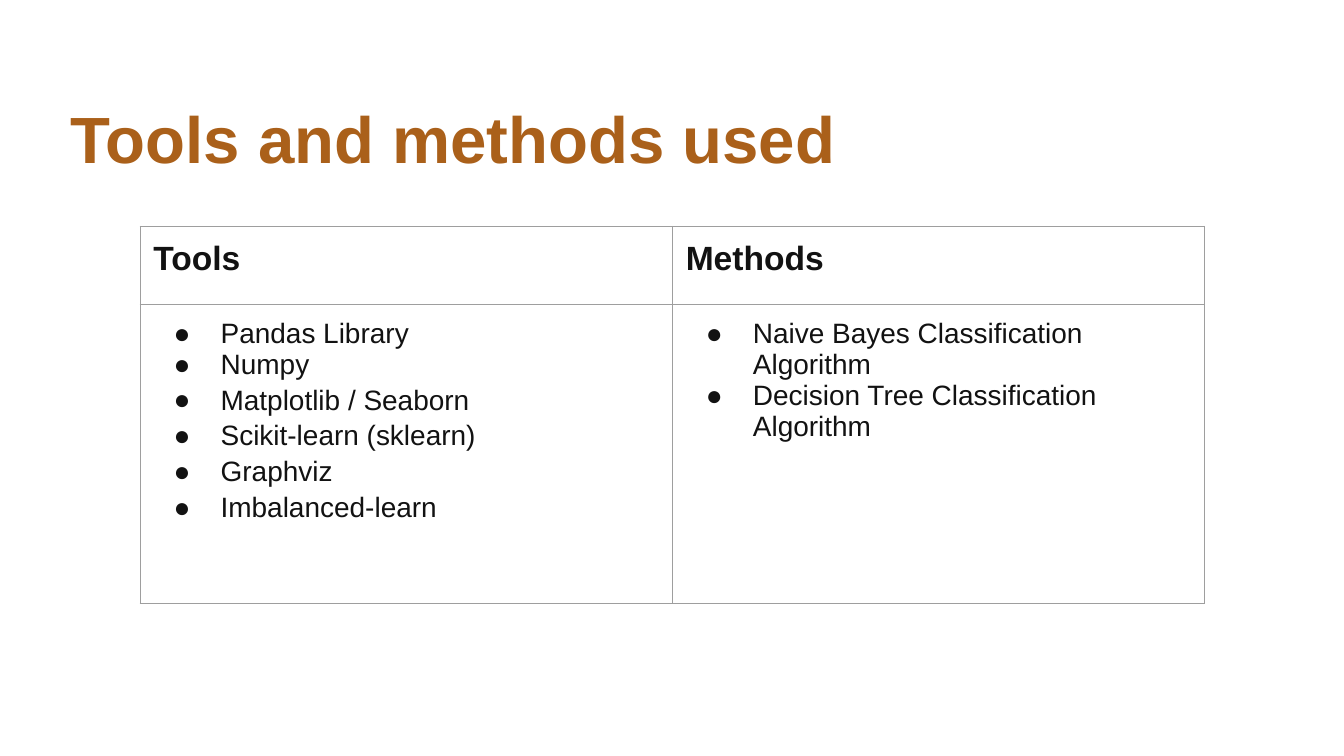
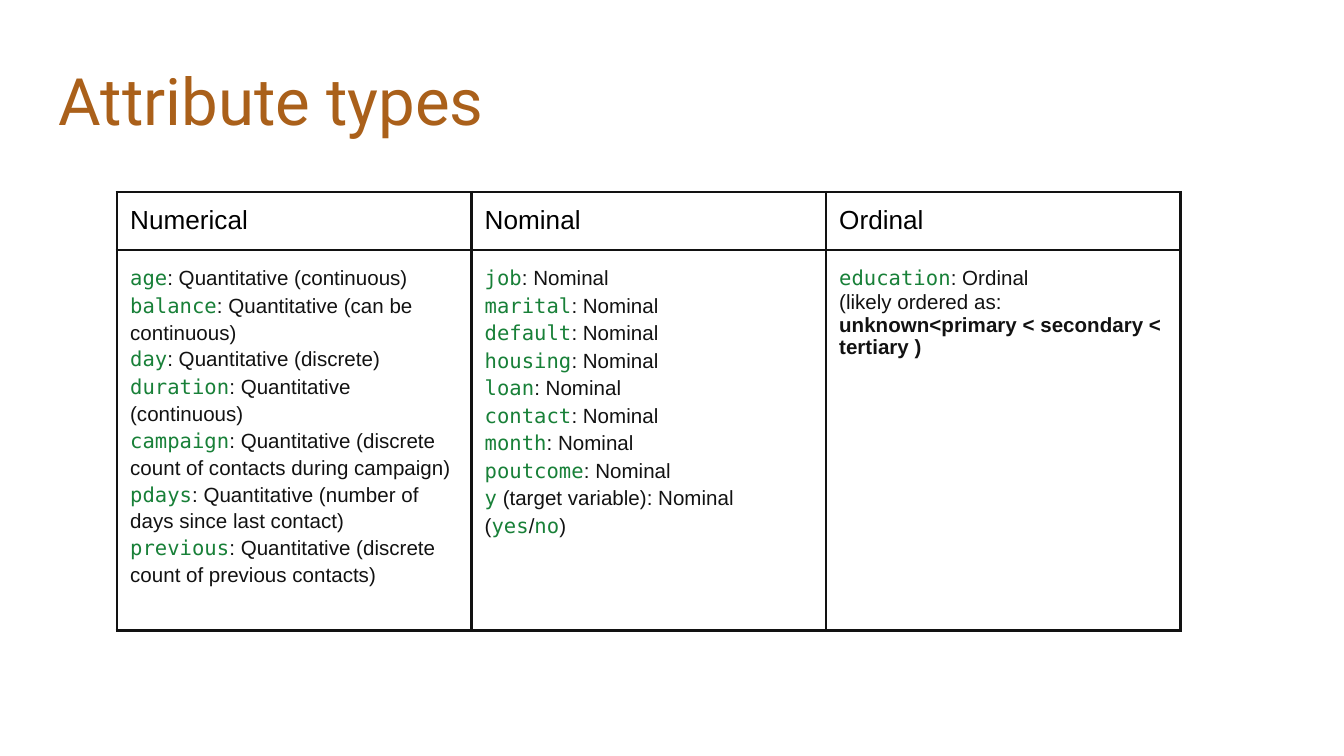
from lxml import etree
from pptx import Presentation
from pptx.dml import color
from pptx.enum import text
from pptx.oxml import ns
from pptx.util import Cm, Pt

BROWN, INK, GREY, GREEN, BLACK, WHITE = "AA601A", "121212", "9E9E9E", "188038", "000000", "FFFFFF"
BODY, CODE = "Arial", "DejaVu Sans Mono"
INSET = Cm(0.25)


def style(run, size, hue, face=BODY, bold=False):
    run.font.size = Pt(size)
    run.font.name = face
    run.font.bold = bold
    run.font.color.rgb = color.RGBColor.from_string(hue)


def draw_table(slide, left, top, column_width, heights, headings, heading_style, border, line_width, fill):
    count = len(headings)
    frame = slide.shapes.add_table(len(heights), count, Cm(left), Cm(top),
                                   Cm(column_width * count), Cm(sum(heights)))
    grid = frame.table
    grid.first_row = grid.horz_banding = False
    for column in grid.columns:
        column.width = Cm(column_width)
    for row, height in zip(grid.rows, heights):
        row.height = Cm(height)
    for cell in grid.iter_cells():
        cell.margin_left = cell.margin_right = cell.margin_top = cell.margin_bottom = INSET
        properties = cell._tc.get_or_add_tcPr()
        for side in ("a:lnL", "a:lnR", "a:lnT", "a:lnB"):
            edge = etree.SubElement(properties, ns.qn(side), w=str(Pt(line_width)))
            solid = etree.SubElement(edge, ns.qn("a:solidFill"))
            etree.SubElement(solid, ns.qn("a:srgbClr"), val=border)
        if fill:
            cell.fill.solid()
            cell.fill.fore_color.rgb = color.RGBColor.from_string(fill)
        else:
            cell.fill.background()
    for cell, heading in zip(grid.rows[0].cells, headings):
        cell.text_frame.text = heading
        style(cell.text_frame.paragraphs[0].runs[0], **heading_style)
    return grid


deck = Presentation()
deck.slide_width, deck.slide_height = Cm(25.4), Cm(14.29)

slides = []
for title, left, top, width, height, face, bold in [
    ("Tools and methods used", 1.09, 1.6, 23.27, 1.65, BODY, True),
    ("Attribute types", 0.86, 0.89, 23.67, 1.6, "Roboto", False),
]:
    slide = deck.slides.add_slide(deck.slide_layouts[6])
    heading = slide.shapes.add_textbox(Cm(left), Cm(top), Cm(width), Cm(height)).text_frame
    heading.word_wrap = True
    heading.vertical_anchor = text.MSO_ANCHOR.TOP
    heading.margin_left = heading.margin_right = heading.margin_top = heading.margin_bottom = INSET
    heading.text = title
    style(heading.paragraphs[0].runs[0], 35, BROWN, face, bold)
    slides.append(slide)
tools_slide, attributes_slide = slides

toolkit = {
    "Tools": [("Pandas Library", 1.0), ("Numpy", 1.0), ("Matplotlib / Seaborn", 1.15),
              ("Scikit-learn (sklearn)", 1.15), ("Graphviz", 1.15), ("Imbalanced-learn", 1.15)],
    "Methods": [("Naive Bayes Classification Algorithm", 1.0),
                ("Decision Tree Classification Algorithm", 1.0)],
}
toolkit_grid = draw_table(tools_slide, 2.65, 4.28, 10.06, [1.48, 5.64], list(toolkit),
                          dict(size=18, hue=INK, bold=True), GREY, 0.75, None)
for cell, items in zip(toolkit_grid.rows[1].cells, toolkit.values()):
    cell.text_frame.text = "\n".join(name for name, spacing in items)
    for paragraph, (name, spacing) in zip(cell.text_frame.paragraphs, items):
        properties = paragraph._p.get_or_add_pPr()
        properties.set("marL", str(Cm(1.27)))
        properties.set("indent", str(-Cm(0.89)))
        bullet_colour = etree.SubElement(properties, ns.qn("a:buClr"))
        etree.SubElement(bullet_colour, ns.qn("a:srgbClr"), val=INK)
        etree.SubElement(properties, ns.qn("a:buFont"), typeface=BODY)
        etree.SubElement(properties, ns.qn("a:buChar"), char="●")
        paragraph.line_spacing = spacing
        style(paragraph.runs[0], 15, INK)

nominal = ["job", "marital", "default", "housing", "loan", "contact", "month", "poutcome"]
attributes = {
    "Numerical": [
        "`age`: Quantitative (continuous)",
        "`balance`: Quantitative (can be continuous)",
        "`day`: Quantitative (discrete)",
        "`duration`: Quantitative (continuous)",
        "`campaign`: Quantitative (discrete count of contacts during campaign)",
        "`pdays`: Quantitative (number of days since last contact)",
        "`previous`: Quantitative (discrete count of previous contacts)",
    ],
    "Nominal": [f"`{name}`: Nominal" for name in nominal]
    + ["`y` (target variable): Nominal (`yes`/`no`)"],
    "Ordinal": ["`education`: Ordinal"],
}
attribute_grid = draw_table(attributes_slide, 2.21, 3.63, 6.7, [1.07, 7.19], list(attributes),
                            dict(size=14, hue=BLACK), INK, 1.5, WHITE)
for cell, lines in zip(attribute_grid.rows[1].cells, attributes.values()):
    cell.text_frame.text = "\n".join(lines)
    for paragraph, line in zip(cell.text_frame.paragraphs, lines):
        paragraph.clear()
        paragraph.line_spacing = 1.15
        for index, part in enumerate(line.split("`")):
            if part:
                run = paragraph.add_run()
                run.text = part
                style(run, 11, *((GREEN, CODE) if index % 2 else (INK, BODY)))

ordering = attribute_grid.cell(1, 2).text_frame.add_paragraph()
for part, bold in [("(likely ordered as: ", False), ("unknown<primary < secondary < tertiary )", True)]:
    run = ordering.add_run()
    run.text = part
    style(run, 11, INK, bold=bold)

deck.save("out.pptx")
